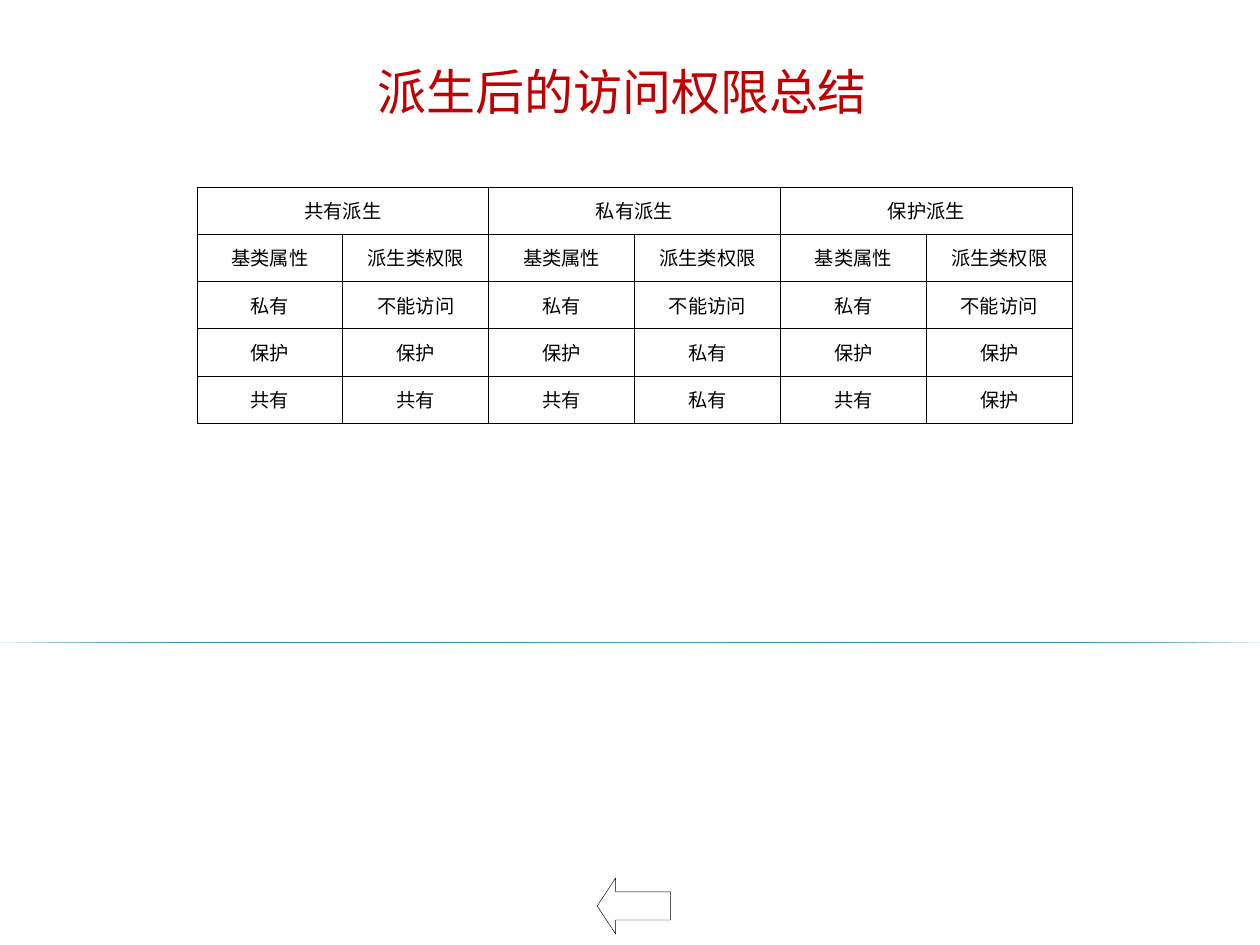
import dataclasses

import lxml.etree
import pptx
import pptx.dml.color
import pptx.enum.shapes
import pptx.enum.text
import pptx.oxml
import pptx.oxml.ns
import pptx.util
from pptx.util import Cm, Pt


@dataclasses.dataclass(frozen=True)
class Theme:
    """Colours, fonts and type sizes of the slide."""
    title_color: str = "C00000"
    ink: str = "000000"
    rule_dark: str = "007593"
    rule_light: str = "48BAE0"
    latin_font: str = "Times New Roman"
    chinese_font: str = "Noto Sans CJK SC"
    title_size: float = 28
    table_size: float = 11
    table_leading: float = 15.4
    border_width: float = 0.45
    arrow_width: float = 0.25


THEME = Theme()
HEADINGS = ["共有派生", "私有派生", "保护派生"]
SUBHEADINGS = ["基类属性", "派生类权限"]
ACCESS_ROWS = [
    ["私有", "不能访问", "私有", "不能访问", "私有", "不能访问"],
    ["保护", "保护", "保护", "私有", "保护", "保护"],
    ["共有", "共有", "共有", "私有", "共有", "保护"],
]


def rgb(color):
    """Return a colour object for a hex value."""
    return pptx.dml.color.RGBColor.from_string(color)


def add_run(paragraph, text, size, color, latin_font):
    """Add one centred run with its Latin and Chinese fonts."""
    paragraph.alignment = pptx.enum.text.PP_ALIGN.CENTER
    run = paragraph.add_run()
    run.text = text
    run.font.size = Pt(size)
    run.font.color.rgb = rgb(color)
    run.font.name = latin_font
    chinese = lxml.etree.SubElement(run.font._element, pptx.oxml.ns.qn("a:ea"))
    chinese.set("typeface", THEME.chinese_font)


def add_rule(slide):
    """Add the flat gradient rule across the slide."""
    shape = slide.shapes.add_shape(
        pptx.enum.shapes.MSO_SHAPE.RIGHT_TRIANGLE, Cm(0), Cm(12.95), Cm(25.43), Cm(0))
    shape.shadow.inherit = False
    shape.line.fill.background()
    shape.fill.gradient()
    stops = [(0, THEME.rule_dark), (50, THEME.rule_light), (100, THEME.rule_dark)]
    stop_xml = "".join(
        f'<a:gs pos="{position * 1000}"><a:srgbClr val="{color}"/></a:gs>'
        for position, color in stops)
    gradient = pptx.oxml.parse_xml(
        f'<a:gradFill {pptx.oxml.ns.nsdecls("a")} rotWithShape="1">'
        f'<a:gsLst>{stop_xml}</a:gsLst><a:lin ang="3000000" scaled="1"/></a:gradFill>')
    properties = shape._element.spPr
    properties.replace(properties.find(pptx.oxml.ns.qn("a:gradFill")), gradient)


def add_title(slide, text):
    """Add the centred slide title."""
    box = slide.shapes.add_textbox(Cm(5.56), Cm(0.99), Cm(13.97), Cm(1.68))
    frame = box.text_frame
    frame.word_wrap = True
    frame.vertical_anchor = pptx.enum.text.MSO_ANCHOR.MIDDLE
    add_run(frame.paragraphs[0], text, THEME.title_size, THEME.title_color, THEME.chinese_font)


def style_cell(cell):
    """Give a table cell its margins, borders and empty fill."""
    cell.vertical_anchor = pptx.enum.text.MSO_ANCHOR.MIDDLE
    cell.margin_left = cell.margin_right = Cm(0.2)
    cell.margin_top = cell.margin_bottom = Cm(0.13)
    cell.fill.background()
    properties = cell._tc.get_or_add_tcPr()
    for index, side in enumerate(["lnL", "lnR", "lnT", "lnB"]):
        properties.insert(index, pptx.oxml.parse_xml(
            f'<a:{side} {pptx.oxml.ns.nsdecls("a")} w="{Pt(THEME.border_width)}">'
            f'<a:solidFill><a:srgbClr val="{THEME.ink}"/></a:solidFill></a:{side}>'))


def add_access_table(slide):
    """Add the access table with one heading over each pair of columns."""
    heading_row = [text for heading in HEADINGS for text in (heading, "")]
    rows = [heading_row, SUBHEADINGS * len(HEADINGS), *ACCESS_ROWS]
    table = slide.shapes.add_table(
        len(rows), len(heading_row), Cm(3.97), Cm(3.77), Cm(17.65), Cm(4.77)).table
    table.first_row = table.horz_banding = False
    for row_index, row in enumerate(rows):
        for column_index, text in enumerate(row):
            cell = table.cell(row_index, column_index)
            style_cell(cell)
            if text:
                paragraph = cell.text_frame.paragraphs[0]
                paragraph.line_spacing = Pt(THEME.table_leading)
                add_run(paragraph, text, THEME.table_size, THEME.ink, THEME.latin_font)
    for column_index in range(0, len(heading_row), 2):
        table.cell(0, column_index).merge(table.cell(0, column_index + 1))


def add_back_arrow(slide):
    """Add the outlined arrow at the foot of the slide."""
    shape = slide.shapes.add_shape(
        pptx.enum.shapes.MSO_SHAPE.LEFT_ARROW, Cm(12.04), Cm(17.7), Cm(1.48), Cm(1.13))
    shape.shadow.inherit = False
    shape.adjustments[0] = 0.5
    shape.adjustments[1] = 0.33
    shape.fill.background()
    shape.line.color.rgb = rgb(THEME.ink)
    shape.line.width = Pt(THEME.arrow_width)


def main():
    """Build and save the slide."""
    presentation = pptx.Presentation()
    presentation.slide_width = Cm(25.4)
    presentation.slide_height = Cm(19.05)
    slide = presentation.slides.add_slide(presentation.slide_layouts[6])
    add_rule(slide)
    add_title(slide, "派生后的访问权限总结")
    add_access_table(slide)
    add_back_arrow(slide)
    presentation.save("out.pptx")


if __name__ == "__main__":
    main()
